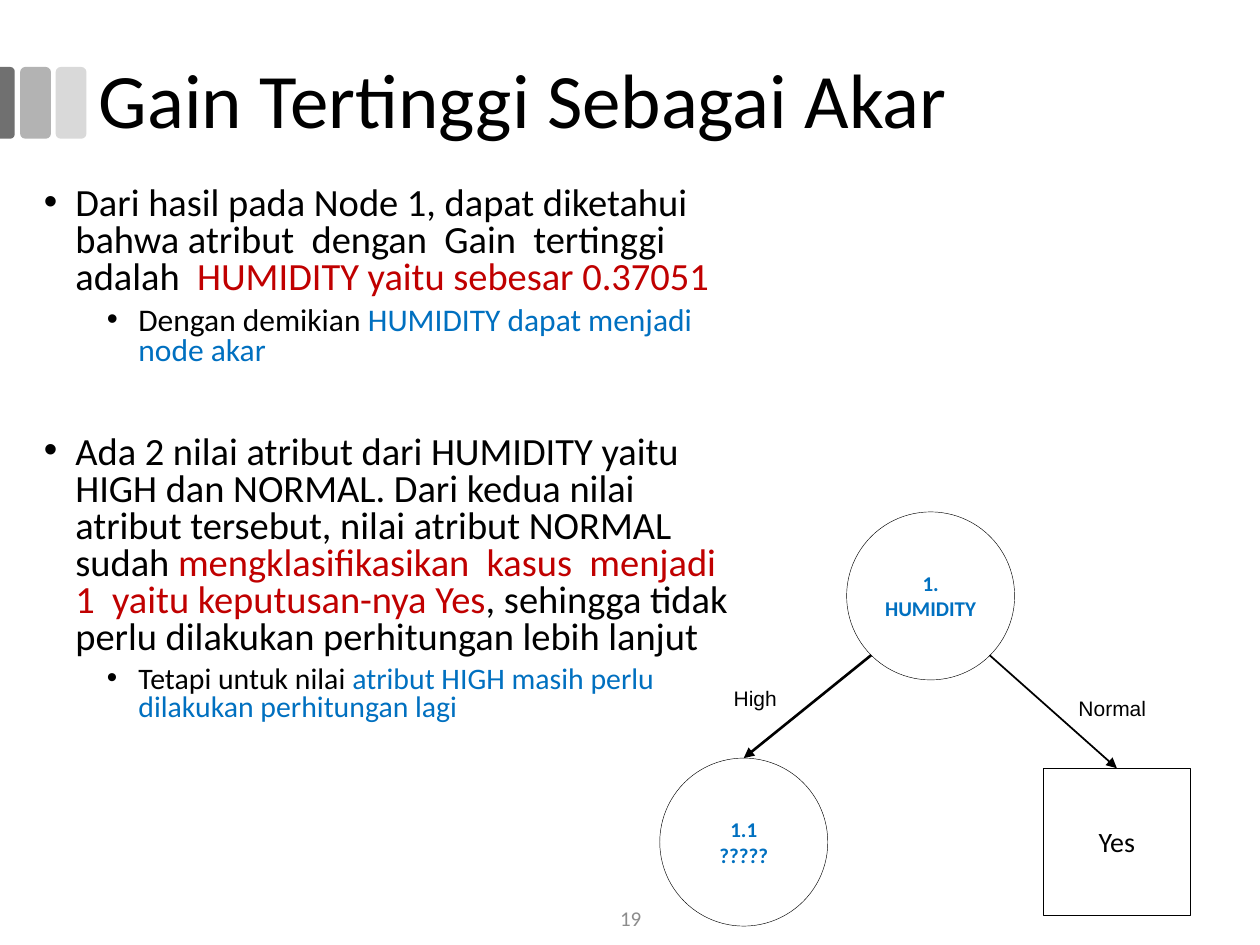
from pptx import Presentation
from pptx.util import Pt
from pptx.dml.color import RGBColor
from pptx.enum.shapes import MSO_SHAPE as SHAPE, MSO_CONNECTOR as CONN
from pptx.enum.text import PP_ALIGN as ALIGN, MSO_ANCHOR as ANCHOR
from pptx.oxml.ns import qn
from lxml.etree import SubElement

BLACK, RED, BLUE = "000000", "C00000", "0070C0"


def rgb(value):
    return RGBColor.from_string(value)


def add_run(p, text, size, color, font="Calibri", bold=False):
    r = p.add_run()
    r.text = text
    r.font.name, r.font.size, r.font.bold = font, Pt(size), bold
    r.font.color.rgb = rgb(color)


prs = Presentation()
prs.slide_width, prs.slide_height = Pt(720), Pt(540)
s = prs.slides.add_slide(prs.slide_layouts[6])

for kind, x, y, w, h, color in [
    (SHAPE.ROUNDED_RECTANGLE, 31.8, 38.3, 17.6, 41, "D9D9D9"),
    (SHAPE.ROUNDED_RECTANGLE, 11.5, 38.3, 17.6, 41, "B3B3B3"),
    (SHAPE.ROUND_2_SAME_RECTANGLE, -16.4, 54.5, 41, 8.6, "707070"),
]:
    bar = s.shapes.add_shape(kind, Pt(x), Pt(y), Pt(w), Pt(h))
    bar.shadow.inherit = False
    bar.fill.solid()
    bar.fill.fore_color.rgb = rgb(color)
    bar.line.fill.background()
bar.rotation = 90
bar.adjustments[0] = 0.29

title = s.shapes.add_textbox(Pt(49.5), Pt(12), Pt(621), Pt(94.5))
tf = title.text_frame
tf.word_wrap, tf.vertical_anchor = True, ANCHOR.MIDDLE
tf.paragraphs[0].line_spacing = 0.9
add_run(tf.paragraphs[0], "Gain Tertinggi Sebagai Akar", 44, BLACK)

body = s.shapes.add_textbox(Pt(18), Pt(103.5), Pt(414), Pt(320))
tf = body.text_frame
tf.word_wrap = True
for i, (level, size, before, runs) in enumerate([
    (0, 22, 0, [
        ("Dari hasil pada Node 1, dapat diketahui bahwa atribut  dengan  Gain  tertinggi  adalah  ", BLACK),
        ("HUMIDITY yaitu sebesar 0.37051", RED)]),
    (1, 18, 5, [
        ("Dengan demikian ", BLACK),
        ("HUMIDITY dapat menjadi node akar", BLUE)]),
    (0, 22, 39, [
        ("Ada 2 nilai atribut dari HUMIDITY yaitu HIGH dan NORMAL. Dari kedua nilai atribut tersebut, "
         "nilai atribut NORMAL sudah ", BLACK),
        ("mengklasifikasikan  kasus  menjadi  1  yaitu keputusan-nya Yes", RED),
        (", sehingga tidak perlu dilakukan perhitungan lebih lanjut", BLACK)]),
    (1, 17, 5, [
        ("Tetapi untuk nilai ", BLACK),
        ("atribut HIGH masih perlu dilakukan perhitungan lagi", BLUE)]),
]):
    p = tf.add_paragraph() if i else tf.paragraphs[0]
    p.level, p.line_spacing, p.space_before = level, 0.8, Pt(before)
    pPr = p._p.get_or_add_pPr()
    pPr.set("marL", str(Pt(18 + 36 * level)))
    pPr.set("indent", str(Pt(-18)))
    SubElement(pPr, qn("a:buFont"), typeface="Arial")
    SubElement(pPr, qn("a:buChar"), char="•")
    for text, color in runs:
        add_run(p, text, size, color)

nodes = []
for kind, x, y, side, lines, size, color, bold in [
    (SHAPE.OVAL, 483.8, 292.5, 96, ["1. HUMIDITY"], 12, BLUE, True),
    (SHAPE.OVAL, 377, 433.2, 96, ["1.1", "?????"], 12, BLUE, True),
    (SHAPE.RECTANGLE, 596.2, 439, 84, ["Yes"], 16, BLACK, False),
]:
    node = s.shapes.add_shape(kind, Pt(x), Pt(y), Pt(side), Pt(side))
    node.shadow.inherit = False
    node.fill.background()
    node.line.color.rgb = rgb(BLACK)
    node.line.width = Pt(0.25)
    tf = node.text_frame
    tf.word_wrap, tf.vertical_anchor = True, ANCHOR.MIDDLE
    for i, text in enumerate(lines):
        p = tf.add_paragraph() if i else tf.paragraphs[0]
        p.alignment = ALIGN.CENTER
        add_run(p, text, size, color, bold=bold)
    nodes.append(node)

for x, y, node, width in [(497.8, 374.4, nodes[1], 1.5), (565.5, 374.4, nodes[2], 1)]:
    arrow = s.shapes.add_connector(CONN.STRAIGHT, Pt(x), Pt(y), node.left + node.width // 2, node.top)
    arrow.end_connect(node, 0)
    arrow.line.color.rgb = rgb(BLACK)
    arrow.line.width = Pt(width)
    SubElement(arrow.line._get_or_add_ln(), qn("a:tailEnd"), type="triangle")
    SubElement(arrow._element.spPr, qn("a:effectLst"))

for text, x, y, w, h, size, font, color in [
    ("High", 411.8, 388, 39.6, 21.6, 12, "Arial", BLACK),
    ("Normal", 609, 394, 53.3, 21.6, 12, "Arial", BLACK),
    ("19", 279.4, 510, 162, 28.8, 12, "Calibri", "8C8C8C"),
]:
    label = s.shapes.add_textbox(Pt(x), Pt(y), Pt(w), Pt(h))
    tf = label.text_frame
    tf.word_wrap, tf.vertical_anchor = False, ANCHOR.MIDDLE
    tf.paragraphs[0].alignment = ALIGN.CENTER
    add_run(tf.paragraphs[0], text, size, color, font)

prs.save("out.pptx")
